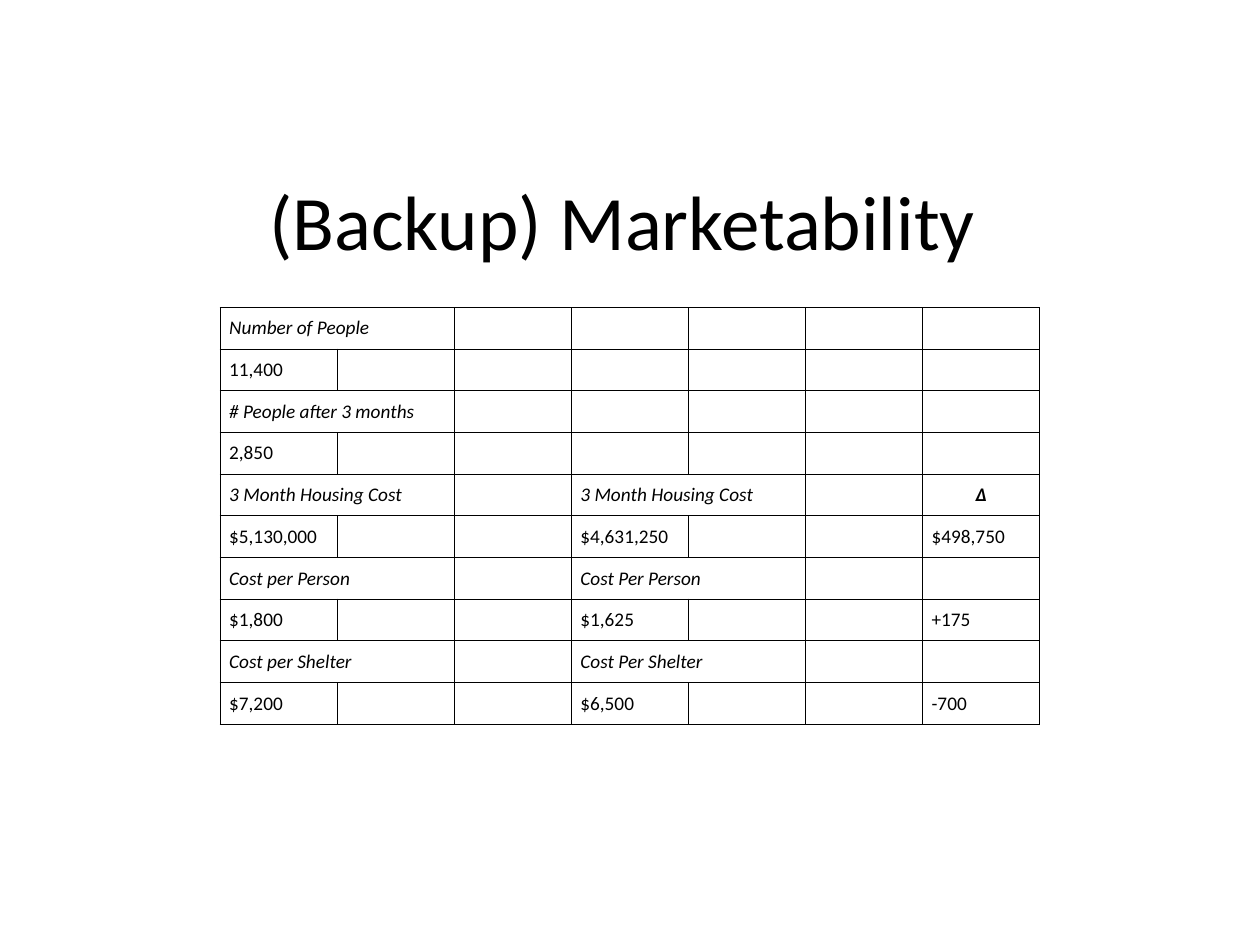
import pptx
import pptx.util
import pptx.dml.color
import pptx.enum.text
import pptx.oxml
import pptx.oxml.ns
from lxml import etree

Cm, Pt = pptx.util.Cm, pptx.util.Pt
BLACK = pptx.dml.color.RGBColor(0, 0, 0)
WHITE = pptx.dml.color.RGBColor(255, 255, 255)
ALIGN = pptx.enum.text.PP_ALIGN
ANCHOR = pptx.enum.text.MSO_ANCHOR
qn = pptx.oxml.ns.qn

# Headings and values alternate; each row gives column: text
ROWS = [
    {0: "Number of People"},
    {0: "11,400"},
    {0: "# People after 3 months"},
    {0: "2,850"},
    {0: "3 Month Housing Cost", 3: "3 Month Housing Cost", 6: "Δ"},
    {0: "$5,130,000", 3: "$4,631,250", 6: "$498,750"},
    {0: "Cost per Person", 3: "Cost Per Person"},
    {0: "$1,800", 3: "$1,625", 6: "+175"},
    {0: "Cost per Shelter", 3: "Cost Per Shelter"},
    {0: "$7,200", 3: "$6,500", 6: "-700"},
]
COLS = 7


def write(frame, text, size=11, bold=False, italic=False, align=ALIGN.LEFT):
    para = frame.paragraphs[0]
    para.alignment = align
    if not text:
        # An empty cell keeps the height of its text size
        end = etree.SubElement(para._p, qn("a:endParaRPr"))
        end.set("sz", str(size * 100))
        return
    run = para.add_run()
    run.text = text
    font = run.font
    font.name, font.size = "Calibri", Pt(size)
    font.bold, font.italic = bold, italic
    font.color.rgb = BLACK


def pad(part, gap):
    part.margin_left = part.margin_right = gap
    part.margin_top = part.margin_bottom = gap


def border(cell):
    props = cell._tc.get_or_add_tcPr()
    for spot, side in enumerate(("lnL", "lnR", "lnT", "lnB")):
        line = pptx.oxml.parse_xml(
            f'<a:{side} xmlns:a="http://schemas.openxmlformats.org/drawingml/2006/main"'
            f' w="{Pt(0.75)}"><a:solidFill><a:srgbClr val="{BLACK}"/></a:solidFill>'
            f'</a:{side}>')
        props.insert(spot, line)


def add_title(slide, left, top, width, height):
    title = slide.shapes.title
    title.left, title.top, title.width, title.height = left, top, width, height
    frame = title.text_frame
    frame.word_wrap = True
    frame.vertical_anchor = ANCHOR.BOTTOM
    pad(frame, Cm(0.25))
    write(frame, "(Backup) Marketability", size=44, align=ALIGN.CENTER)


def add_costs(slide, left, top, width, height):
    table = slide.shapes.add_table(
        len(ROWS), COLS, left, top, width, height).table
    table.first_row = table.horz_banding = False
    for col in table.columns:
        col.width = width // COLS
    for r, row in enumerate(ROWS):
        table.rows[r].height = height // len(ROWS)
        head = r % 2 == 0
        for c in range(COLS):
            cell = table.cell(r, c)
            delta = head and c == 6
            pad(cell, Cm(0.18))
            cell.fill.solid()
            cell.fill.fore_color.rgb = WHITE
            border(cell)
            write(cell.text_frame, row.get(c), bold=delta, italic=head,
                  align=ALIGN.CENTER if delta else ALIGN.LEFT)
        # Headings span two columns
        for c in (0, 3):
            if head and c in row:
                table.cell(r, c).merge(table.cell(r, c + 1))


def main():
    deck = pptx.Presentation()
    deck.slide_width, deck.slide_height = Cm(25.4), Cm(19.05)
    slide = deck.slides.add_slide(deck.slide_layouts[0])
    # The subtitle is not used
    sub = slide.placeholders[1].element
    sub.getparent().remove(sub)
    add_costs(slide, Cm(4.44), Cm(6.2), Cm(16.52), Cm(8.3))
    add_title(slide, Cm(1.75), Cm(3.1), Cm(21.6), Cm(2.51))
    deck.save("out.pptx")


if __name__ == "__main__":
    main()
